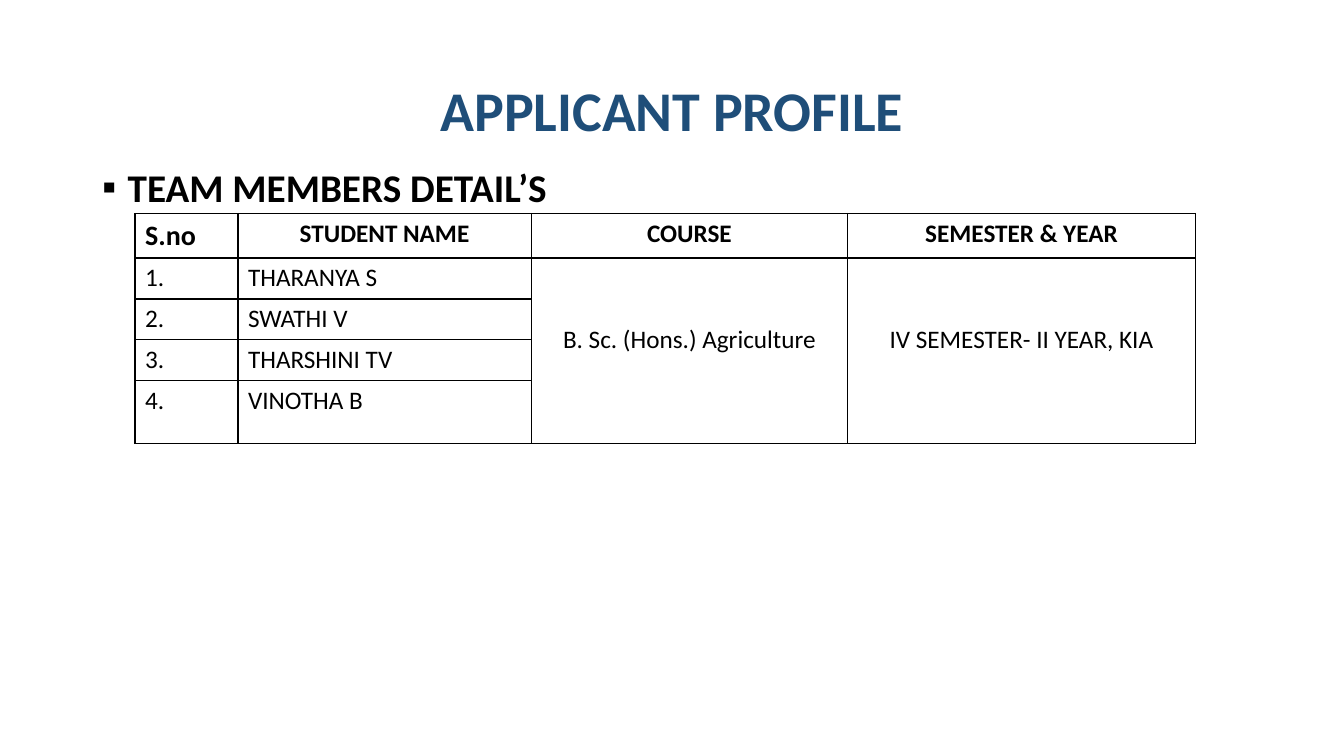
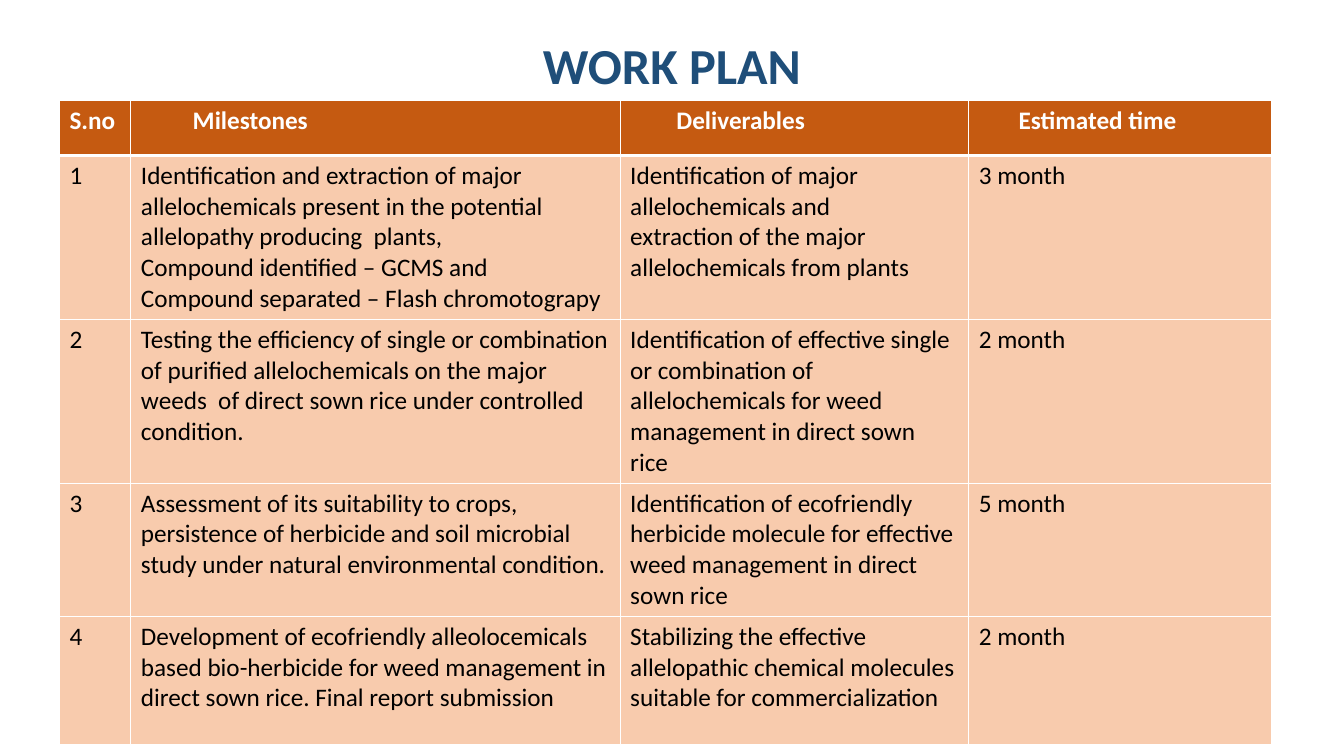
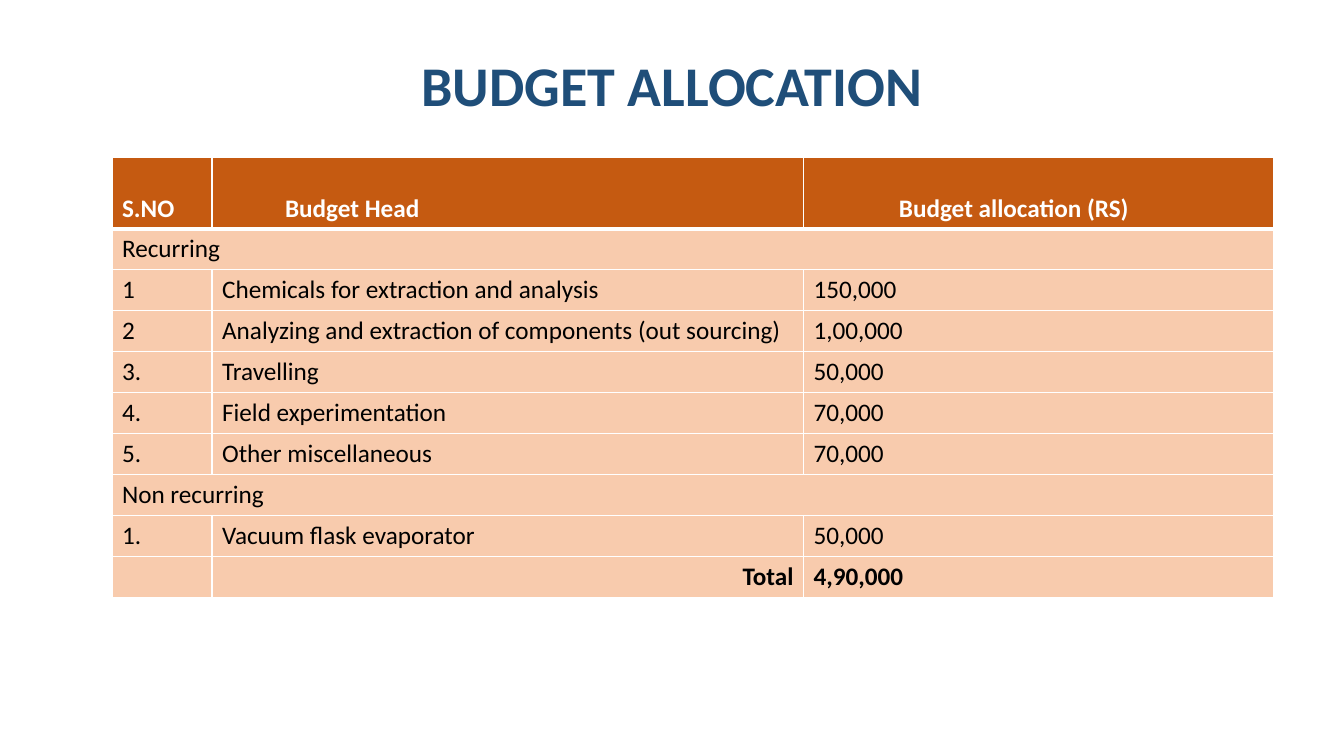
"""Build the three project proposal slides: applicants, work plan and budget."""

import dataclasses

import lxml.etree
import pptx
import pptx.dml.color
import pptx.enum.text
import pptx.oxml.ns
import pptx.util

Pt = pptx.util.Pt
ALIGN = pptx.enum.text.PP_ALIGN
ANCHOR = pptx.enum.text.MSO_ANCHOR


@dataclasses.dataclass(frozen=True)
class Theme:
    font: str = "Calibri"
    title_color: str = "1F4E79"
    black: str = "000000"
    white: str = "FFFFFF"
    header_fill: str = "C55A11"
    body_fill: str = "F8CBAD"
    title_size: float = 40
    compact_title_size: float = 36
    bullet_size: float = 28
    first_header_size: float = 20
    table_size: float = 18
    thin_line: float = 1
    thick_line: float = 3
    row_height: float = 29.3
    content_left: float = 66
    content_width: float = 828
    title_top: float = 28.8


THEME = Theme()


@dataclasses.dataclass(frozen=True)
class TableLook:
    border: str
    header_color: str
    header_line: float
    header_fill: str | None = None
    body_fill: str | None = None


PLAIN = TableLook(THEME.black, THEME.black, THEME.thin_line)
ORANGE = TableLook(THEME.white, THEME.white, THEME.thick_line,
                   THEME.header_fill, THEME.body_fill)


@dataclasses.dataclass(frozen=True)
class Entry:
    text: str = ""
    bold: bool = False
    align: ALIGN = ALIGN.LEFT
    size: float = THEME.table_size
    indent: float = 0
    drop: float = 0
    anchor: ANCHOR = ANCHOR.TOP
    span: tuple = (1, 1)


def rgb(color):
    return pptx.dml.color.RGBColor.from_string(color)


def add_run(paragraph, text, size, color, bold):
    run = paragraph.add_run()
    run.text = text
    run.font.name = THEME.font
    run.font.size = Pt(size)
    run.font.bold = bold
    run.font.color.rgb = rgb(color)


def place(shape, left, top, width, height):
    shape.left, shape.top = Pt(left), Pt(top)
    shape.width, shape.height = Pt(width), Pt(height)


def add_slide(presentation, layout_name, title, height, size=THEME.title_size):
    layout = presentation.slide_layouts.get_by_name(layout_name)
    slide = presentation.slides.add_slide(layout)
    shape = slide.shapes.title
    place(shape, THEME.content_left, THEME.title_top, THEME.content_width, height)
    frame = shape.text_frame
    frame.auto_size = pptx.enum.text.MSO_AUTO_SIZE.NONE
    frame.vertical_anchor = ANCHOR.MIDDLE
    paragraph = frame.paragraphs[0]
    paragraph.alignment = ALIGN.CENTER
    paragraph.line_spacing = 0.9
    add_run(paragraph, title, size, THEME.title_color, True)
    return slide


def fill_bullet(shape, text):
    place(shape, THEME.content_left, 116.5, THEME.content_width, 407.5)
    shape.text_frame.auto_size = pptx.enum.text.MSO_AUTO_SIZE.NONE
    paragraph = shape.text_frame.paragraphs[0]
    paragraph.line_spacing = 0.9
    paragraph.space_before = Pt(10)
    add_run(paragraph, text, THEME.bullet_size, THEME.black, True)
    properties = paragraph._p.get_or_add_pPr()
    properties.set("marL", str(Pt(18)))
    properties.set("indent", str(Pt(-18)))
    qn = pptx.oxml.ns.qn
    lxml.etree.SubElement(properties, qn("a:buFont"), typeface=THEME.font)
    lxml.etree.SubElement(properties, qn("a:buChar"), char="▪")


def set_borders(cell, color, widths):
    qn = pptx.oxml.ns.qn
    properties = cell._tc.get_or_add_tcPr()
    for position, (side, width) in enumerate(widths.items()):
        line = lxml.etree.Element(qn(f"a:ln{side}"), w=str(Pt(width)))
        fill = lxml.etree.SubElement(line, qn("a:solidFill"))
        lxml.etree.SubElement(fill, qn("a:srgbClr"), val=color)
        properties.insert(position, line)


def fill_cell(cell, entry, look, row_index):
    is_header = row_index == 0
    color = look.header_color if is_header else THEME.black
    fill = look.header_fill if is_header else look.body_fill
    if fill:
        cell.fill.solid()
        cell.fill.fore_color.rgb = rgb(fill)
    else:
        cell.fill.background()
    thin = THEME.thin_line
    set_borders(cell, look.border, {
        "L": thin,
        "R": thin,
        "T": look.header_line if row_index == 1 else thin,
        "B": look.header_line if is_header else thin,
    })
    cell.vertical_anchor = entry.anchor
    cell.margin_left = Pt(7.2 + entry.indent)
    cell.margin_top = Pt(3.6 + entry.drop)
    for index, text in enumerate(entry.text.split("\n")):
        frame = cell.text_frame
        paragraph = frame.add_paragraph() if index else frame.paragraphs[0]
        paragraph.alignment = entry.align
        paragraph.font.size = Pt(entry.size)
        if text:
            add_run(paragraph, text, entry.size, color, is_header or entry.bold)


def add_table(slide, left, top, widths, heights, rows, look):
    table = slide.shapes.add_table(
        len(rows), len(widths), Pt(left), Pt(top),
        Pt(sum(widths)), Pt(sum(heights))).table
    table.horz_banding = False
    for column, width in zip(table.columns, widths):
        column.width = Pt(width)
    for row, height in zip(table.rows, heights):
        row.height = Pt(height)
    for row_index, row in enumerate(rows):
        for column_index, value in enumerate(row):
            entry = value if isinstance(value, Entry) else Entry(value)
            cell = table.cell(row_index, column_index)
            fill_cell(cell, entry, look, row_index)
            if entry.span != (1, 1):
                down, across = entry.span
                cell.merge(table.cell(row_index + down - 1,
                                      column_index + across - 1))


def add_applicant_slide(presentation):
    slide = add_slide(presentation, "Title and Content", "APPLICANT PROFILE", 104.5)
    fill_bullet(slide.placeholders[1], "TEAM MEMBERS DETAIL’S")
    headers = [Entry("S.no", size=THEME.first_header_size)]
    headers += [Entry(text, align=ALIGN.CENTER)
                for text in ("STUDENT NAME", "COURSE", "SEMESTER & YEAR")]
    students = ["THARANYA S", "SWATHI V", "THARSHINI TV", "VINOTHA B"]
    rows = [[f"{number}.", name, "", ""] for number, name in enumerate(students, 1)]
    rows[0][2:] = [Entry(text, align=ALIGN.CENTER, drop=44, span=(4, 1))
                   for text in ("B. Sc. (Hons.) Agriculture",
                                "IV SEMESTER- II YEAR, KIA")]
    add_table(slide, 96.5, 152.5, [73.5, 209.5, 226, 248.5],
              [31.6] + [THEME.row_height] * 3 + [44.6], [headers] + rows, PLAIN)


def add_work_plan_slide(presentation):
    slide = add_slide(presentation, "Title Only", "WORK PLAN", 40.3,
                      THEME.compact_title_size)
    rows = [
        ["S.no", Entry("Milestones", indent=37), Entry("Deliverables", indent=33),
         Entry("Estimated time", indent=28.5)],
        ["1",
         "Identification and extraction of major allelochemicals present in the "
         "potential  allelopathy producing  plants,\n"
         "Compound identified – GCMS and\n"
         "Compound separated – Flash chromotograpy",
         "Identification of major allelochemicals and\n"
         "extraction of the major allelochemicals from plants",
         "3 month"],
        ["2",
         "Testing the efficiency of single or combination of purified "
         "allelochemicals on the major weeds  of direct sown rice under "
         "controlled condition.",
         "Identification of effective single or combination of allelochemicals "
         "for weed management in direct sown rice",
         "2 month"],
        ["3",
         "Assessment of its suitability to crops, persistence of herbicide and "
         "soil microbial study under natural environmental condition.",
         "Identification of ecofriendly herbicide molecule for effective weed "
         "management in direct sown rice",
         "5 month"],
        ["4",
         "Development of ecofriendly alleolocemicals based bio-herbicide for "
         "weed management in direct sown rice. Final report submission",
         "Stabilizing the effective allelopathic chemical molecules suitable "
         "for commercialization",
         "2 month"],
    ]
    add_table(slide, 42.5, 72, [51, 349.5, 249, 216.5],
              [39, 117, 117, 95, 91.5], rows, ORANGE)


def add_budget_slide(presentation):
    slide = add_slide(presentation, "Title Only", "BUDGET ALLOCATION", 68.4)
    headers = [Entry(text, indent=indent, anchor=ANCHOR.BOTTOM)
               for text, indent in (("S.NO", 0), ("Budget Head", 45),
                                    ("Budget allocation (RS)", 61))]
    rows = [
        headers,
        [Entry("Recurring", span=(1, 3)), "", ""],
        ["1", "Chemicals for extraction and analysis", "150,000"],
        ["2", "Analyzing and extraction of components (out sourcing)", "1,00,000"],
        ["3.", "Travelling", "50,000"],
        ["4.", "Field experimentation", "70,000"],
        ["5.", "Other miscellaneous", "70,000"],
        [Entry("Non recurring", span=(1, 3)), "", ""],
        ["1.", "Vacuum flask evaporator", "50,000"],
        ["", Entry("Total", bold=True, align=ALIGN.RIGHT),
         Entry("4,90,000", bold=True)],
    ]
    add_table(slide, 80, 112.5, [71.5, 422.5, 336],
              [51] + [THEME.row_height] * 9, rows, ORANGE)


def main():
    presentation = pptx.Presentation()
    presentation.slide_width = Pt(960)
    presentation.slide_height = Pt(540)
    add_applicant_slide(presentation)
    add_work_plan_slide(presentation)
    add_budget_slide(presentation)
    presentation.save("out.pptx")


if __name__ == "__main__":
    main()
